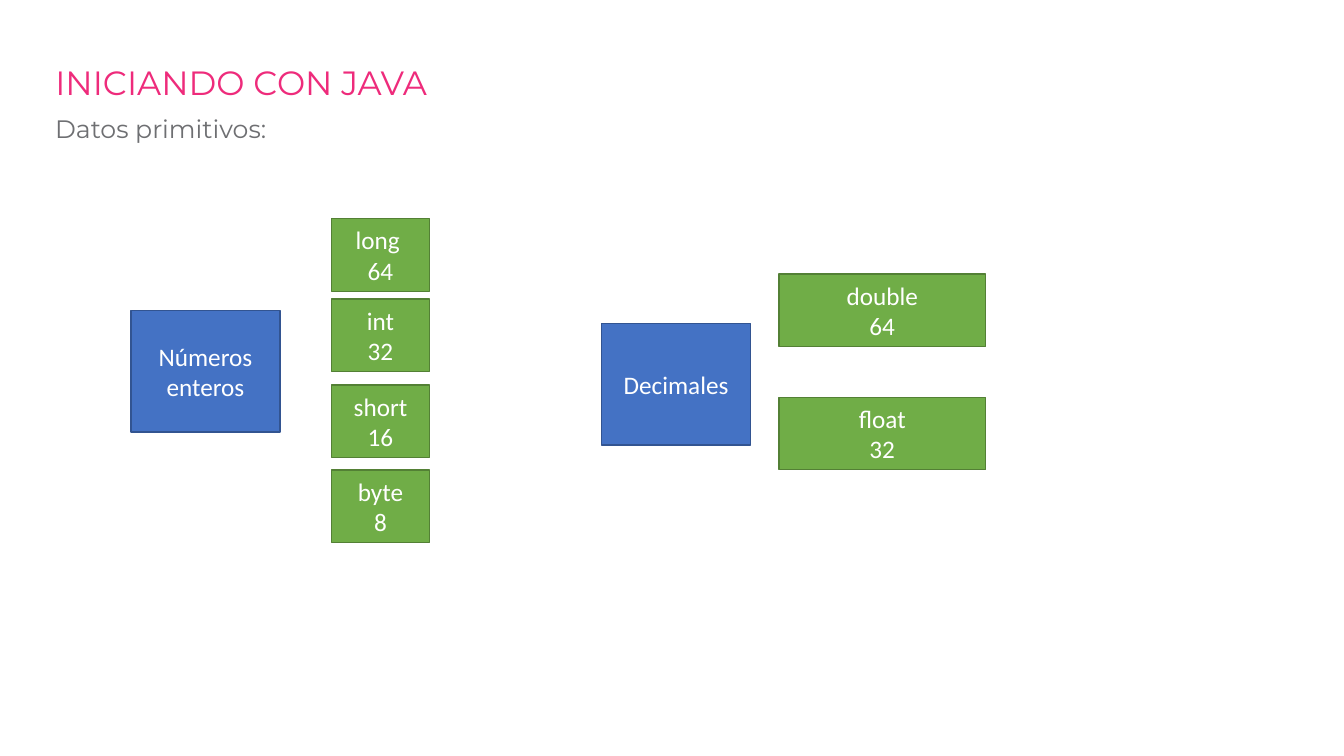
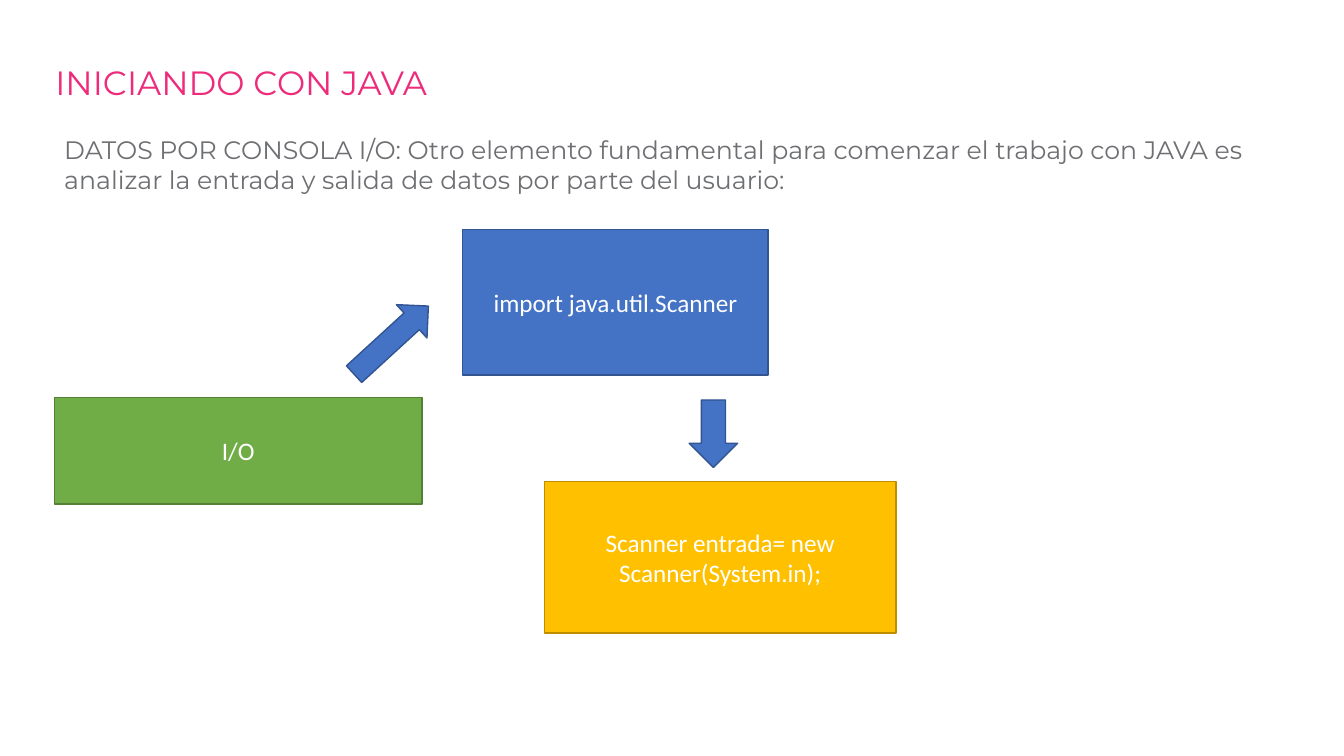
from pptx import Presentation
from pptx.dml.color import RGBColor
from pptx.enum.shapes import MSO_SHAPE as Shape
from pptx.enum.text import MSO_ANCHOR as Anchor, MSO_AUTO_SIZE as AutoSize, PP_ALIGN as Align
from pptx.util import Cm, Pt


def color(hex_value):
    return RGBColor.from_string(hex_value)


class Deck:
    """Holds the shared style and the slide being built."""

    # fill, outline
    BLUE = ("4472C4", "325491")
    GREEN = ("70AD47", "538035")
    AMBER = ("FFC000", "BD8E00")

    TITLE = {"name": "Montserrat", "size": Pt(24), "bold": False, "color": "EE2B7B"}
    INTRO = {"name": "Montserrat", "size": Pt(18), "color": "6E6F72"}
    LABEL = {"name": "Calibri", "size": Pt(18), "color": "FFFFFF"}
    TITLE_FRAME = {"vertical_anchor": Anchor.TOP, "auto_size": AutoSize.NONE, "word_wrap": True}
    INTRO_FRAME = {"auto_size": AutoSize.NONE, "word_wrap": True}
    LABEL_FRAME = {"vertical_anchor": Anchor.MIDDLE, "word_wrap": True}

    def __init__(self):
        self.prs = Presentation()
        self.prs.slide_width, self.prs.slide_height = Cm(33.87), Cm(19.05)
        self.slide = None

    def fill_text(self, frame, lines, font, frame_format, **paragraph_format):
        for key, value in frame_format.items():
            setattr(frame, key, value)
        for index, line in enumerate(lines):
            paragraph = frame.add_paragraph() if index else frame.paragraphs[0]
            for key, value in paragraph_format.items():
                setattr(paragraph, key, value)
            run = paragraph.add_run()
            run.text = line
            for key, value in font.items():
                if key == "color":
                    run.font.color.rgb = color(value)
                else:
                    setattr(run.font, key, value)

    def new_slide(self, heading):
        title_only = self.prs.slide_layouts[5]
        self.slide = self.prs.slides.add_slide(title_only)
        title = self.slide.shapes.title
        place = {"left": 1.14, "top": 1.55, "width": 29.21, "height": 3.68}
        for key, value in place.items():
            setattr(title, key, Cm(value))
        self.fill_text(title.text_frame, [heading], self.TITLE, self.TITLE_FRAME,
                       alignment=Align.LEFT, line_spacing=0.9)

    def intro(self, text, left, top, height):
        box = self.slide.shapes.add_textbox(Cm(left), Cm(top), Cm(31.78), Cm(height))
        self.fill_text(box.text_frame, [text], self.INTRO, self.INTRO_FRAME)

    def block(self, place, palette, lines=(), kind=Shape.RECTANGLE, rotation=0):
        block = self.slide.shapes.add_shape(kind, *map(Cm, place))
        fill, outline = palette
        block.fill.solid()
        block.fill.fore_color.rgb = color(fill)
        block.line.color.rgb = color(outline)
        block.line.width = Pt(1)
        block.shadow.inherit = False
        block.rotation = rotation
        self.fill_text(block.text_frame, lines, self.LABEL, self.LABEL_FRAME,
                       alignment=Align.CENTER)

    def family(self, name, left, top, types_left, types_width, types):
        """A group of primitive types: its name, then one block per type."""
        self.block((left, top, 3.76, 3.07), self.BLUE, [name])
        for type_name, bits, type_top in types:
            self.block((types_left, type_top, types_width, 1.83), self.GREEN, [type_name, bits])


def main():
    deck = Deck()
    heading = "INICIANDO CON JAVA"

    # Primitive types
    deck.new_slide(heading)
    deck.intro("Datos primitivos:", 1.14, 2.72, 2.57)
    deck.family("Números enteros", 3.3, 7.82, 8.36, 2.46, [
        ("long ", "64", 5.51),
        ("int", "32", 7.54),
        ("short", "16", 9.7),
        ("byte", "8", 11.84),
    ])
    deck.family("Decimales", 15.16, 8.15, 19.63, 5.21, [
        ("double", "64", 6.91),
        ("float", "32", 10.01),
    ])

    # Console input and output
    deck.new_slide(heading)
    deck.intro("DATOS POR CONSOLA I/O: Otro elemento fundamental para comenzar el trabajo "
               "con JAVA es analizar la entrada y salida de datos por parte del usuario:",
               1.37, 3.25, 3.33)
    deck.block((1.37, 10.01, 9.27, 2.69), deck.GREEN, ["I/O"])
    deck.block((11.66, 5.79, 7.7, 3.66), deck.BLUE, ["import java.util.Scanner"])
    deck.block((13.72, 12.14, 8.86, 3.81), deck.AMBER,
               ["Scanner entrada= new Scanner(System.in);"])

    # Arrows between the steps
    deck.block((8.59, 8, 2.54, 1.14), deck.BLUE, kind=Shape.RIGHT_ARROW, rotation=317.5)
    deck.block((17.37, 10.08, 1.22, 1.7), deck.BLUE, kind=Shape.DOWN_ARROW)

    deck.prs.save("out.pptx")


if __name__ == "__main__":
    main()
